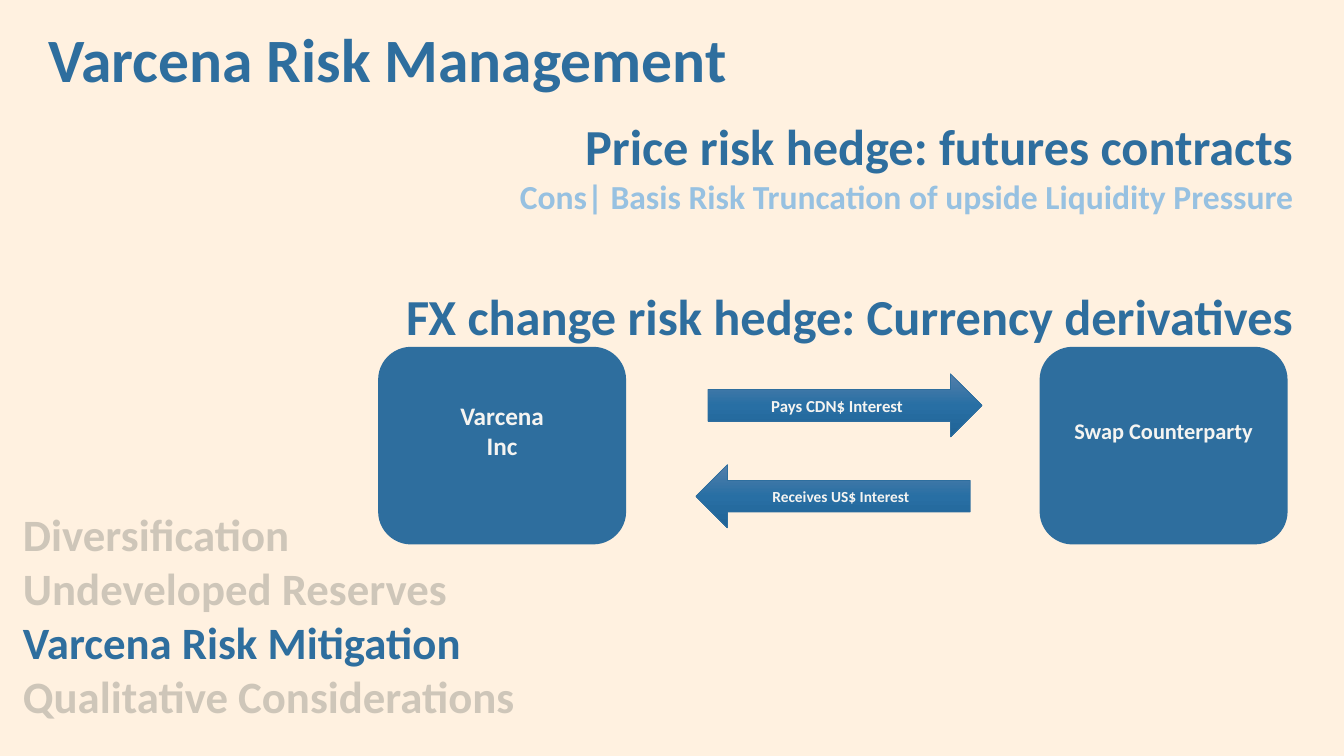
from copy import deepcopy

from pptx import Presentation
from pptx.dml.color import RGBColor
from pptx.enum.shapes import MSO_SHAPE
from pptx.enum.text import MSO_ANCHOR, PP_ALIGN
from pptx.oxml.ns import qn
from pptx.util import Cm, Pt

ROUNDED = MSO_SHAPE.ROUNDED_RECTANGLE
RIGHT_ARROW, LEFT_ARROW = MSO_SHAPE.RIGHT_ARROW, MSO_SHAPE.LEFT_ARROW
LEFT, CENTER, RIGHT = PP_ALIGN.LEFT, PP_ALIGN.CENTER, PP_ALIGN.RIGHT
MIDDLE, TOP = MSO_ANCHOR.MIDDLE, MSO_ANCHOR.TOP

CREAM, BLUE, PALE_BLUE = "FFF1E0", "2E6E9E", "97C1E1"
GREY, OFF_WHITE = "CEC6B9", "F5F4F1"
ARROW_GRADIENT = ((0, "547FAA"), (0.5, "286FA4"), (1, "1F6396"))


def color(value):
    return RGBColor.from_string(value)


def write(shape, lines, anchor=TOP):
    """Fill a shape with lines of (text, size, colour, alignment, space before)."""
    frame = shape.text_frame
    frame.word_wrap = True
    frame.vertical_anchor = anchor
    for index, (text, size, text_color, alignment, gap) in enumerate(lines):
        paragraph = frame.paragraphs[0] if index == 0 else frame.add_paragraph()
        paragraph.alignment = alignment
        paragraph.space_before = Pt(gap)
        run = paragraph.add_run()
        run.text = text
        font_format = {"name": "Calibri", "size": Pt(size), "bold": True}
        for name, value in font_format.items():
            setattr(run.font, name, value)
        run.font.color.rgb = color(text_color)


def add_text(slide, left, top, width, height, lines):
    box = slide.shapes.add_textbox(Cm(left), Cm(top), Cm(width), Cm(height))
    write(box, lines)


def add_label_shape(slide, kind, left, top, width, height, labels, size):
    shape = slide.shapes.add_shape(kind, Cm(left), Cm(top), Cm(width), Cm(height))
    shape.shadow.inherit = False
    write(shape, [(label, size, OFF_WHITE, CENTER, 0) for label in labels], MIDDLE)
    return shape


def add_party(slide, left, labels, size):
    shape = add_label_shape(slide, ROUNDED, left, 8.74, 6.25, 4.98, labels, size)
    shape.fill.solid()
    shape.fill.fore_color.rgb = color(BLUE)
    shape.line.fill.background()
    # Lift the label above the middle of the box
    shape.text_frame.margin_bottom = Cm(0.9)


def add_payment(slide, kind, left, top, label, size):
    shape = add_label_shape(slide, kind, left, top, 6.91, 1.59, [label], size)
    shape.line.color.rgb = color(BLUE)
    shape.line.width = Pt(0.5)
    shape.fill.gradient()
    shape.fill.gradient_angle = 270
    # The default gradient has two stops; add the middle one
    stop_list = shape._element.spPr.find(qn("a:gradFill")).find(qn("a:gsLst"))
    stop_list.insert(1, deepcopy(stop_list[0]))
    for stop, (position, value) in zip(shape.fill.gradient_stops, ARROW_GRADIENT):
        stop.color.rgb = color(value)
        stop.position = position


def main():
    presentation = Presentation()
    presentation.slide_width, presentation.slide_height = Cm(33.87), Cm(19.05)
    slide = presentation.slides.add_slide(presentation.slide_layouts[6])
    slide.background.fill.solid()
    slide.background.fill.fore_color.rgb = color(CREAM)

    # Title and hedge headings
    add_text(slide, 0.97, 0.41, 31.88, 9.75, [
        ("Varcena Risk Management", 44, BLUE, LEFT, 0),
        ("Price risk hedge: futures contracts", 36, BLUE, RIGHT, 14.6),
        ("Cons| Basis Risk Truncation of upside Liquidity Pressure",
         24, PALE_BLUE, RIGHT, 0),
        ("FX change risk hedge: Currency derivatives", 36, BLUE, RIGHT, 48.8),
    ])

    # Currency swap diagram
    add_party(slide, 9.53, ["Varcena", "Inc"], 18)
    add_party(slide, 26.2, ["Swap Counterparty"], 16)
    add_payment(slide, RIGHT_ARROW, 17.84, 9.42, "Pays CDN$ Interest", 12)
    add_payment(slide, LEFT_ARROW, 17.54, 11.71, "Receives US$ Interest", 11)

    # Agenda with the current section highlighted
    current = "Varcena Risk Mitigation"
    sections = ["Diversification", "Undeveloped Reserves", current,
                "Qualitative Considerations"]
    add_text(slide, 0.33, 12.65, 16.74, 5.72, [
        (section, 32, BLUE if section == current else GREY, LEFT, 0)
        for section in sections
    ])

    presentation.save("out.pptx")


if __name__ == "__main__":
    main()
